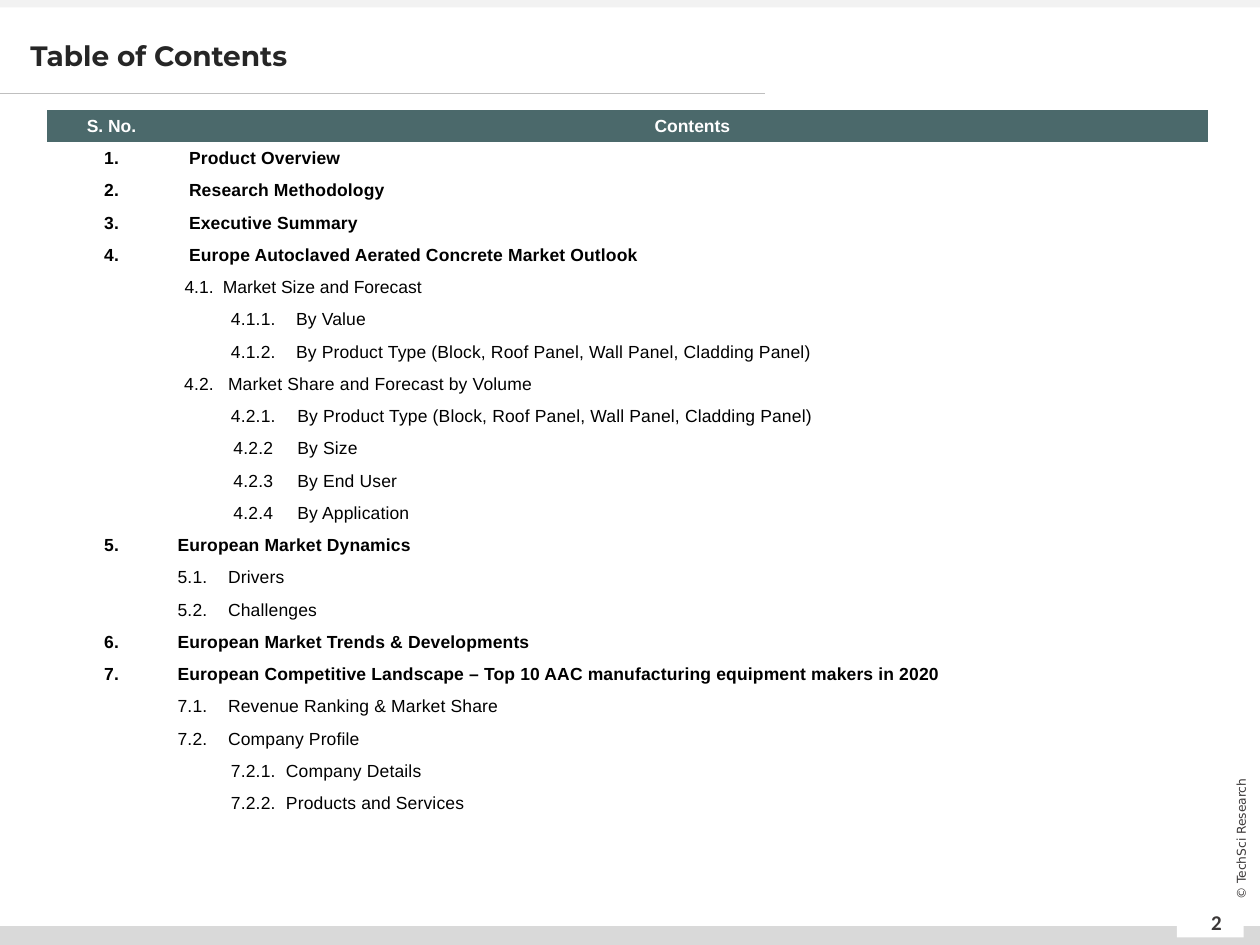
"""Builds a table of contents slide with a numbered outline in a table."""
from lxml import etree
from pptx import Presentation
from pptx.dml.color import RGBColor
from pptx.enum.shapes import MSO_CONNECTOR, MSO_SHAPE
from pptx.enum.text import MSO_ANCHOR, PP_ALIGN
from pptx.oxml.ns import qn
from pptx.util import Inches, Pt

LEFT, MID = PP_ALIGN.LEFT, PP_ALIGN.CENTER
CENTRE = MSO_ANCHOR.MIDDLE
LINE, RECT = MSO_CONNECTOR.STRAIGHT, MSO_SHAPE.RECTANGLE
PLAIN = "{2D5ABB26-0587-4C30-8999-92F81FD0307C}"

WIDE, HIGH = 10, 7.5
TITLE = "Table of Contents"
HEADS = ("S. No.", "Contents")
# level, number, text, indent
ITEMS = [
    (0, "1.", "Product Overview", 0.1),
    (0, "2.", "Research Methodology", 0.1),
    (0, "3.", "Executive Summary", 0.1),
    (0, "4.", "Europe Autoclaved Aerated Concrete Market Outlook", 0.1),
    (1, "4.1.", "Market Size and Forecast", 0.01),
    (2, "4.1.1.", "By Value", 0.09),
    (2, "4.1.2.", "By Product Type (Block, Roof Panel, Wall Panel, Cladding Panel)", 0.09),
    (1, "4.2.", "Market Share and Forecast by Volume", 0.05),
    (2, "4.2.1.", "By Product Type (Block, Roof Panel, Wall Panel, Cladding Panel)", 0.1),
    (2, "4.2.2", "By Size", 0.1),
    (2, "4.2.3", "By End User", 0.1),
    (2, "4.2.4", "By Application", 0.1),
    (0, "5.", "European Market Dynamics", 0.01),
    (1, "5.1.", "Drivers", 0.05),
    (1, "5.2.", "Challenges", 0.05),
    (0, "6.", "European Market Trends & Developments", 0.01),
    (0, "7.", "European Competitive Landscape – Top 10 AAC manufacturing equipment makers in 2020", 0.01),
    (1, "7.1.", "Revenue Ranking & Market Share", 0.05),
    (1, "7.2.", "Company Profile", 0.05),
    (2, "7.2.1.", "Company Details", 0.01),
    (2, "7.2.2.", "Products and Services", 0.01),
]
COLS = (1.03, 0.36, 0.5, 7.33)
TOP, DEEP = 0.87, 5.63
BARS = [
    (0, 7.35, WIDE, 0.15, "D9D9D9"),
    (0, 0, WIDE, 0.06, "F2F2F2"),
    (9.34, 7.22, 0.53, 0.22, "FFFFFF"),
]
NOTES = [
    ("2", (9.41, 7.12, 0.49, 0.4), 0, {"size": Pt(12), "name": "Calibri", "bold": True}),
    ("© TechSci Research", (9.25, 6.58, 1.2, 0.16), 270,
     {"size": Pt(7), "name": "DejaVu Sans", "bold": False}),
]
BODY = {"size": Pt(10), "name": "Arial"}


def paint(hue):
    """Turn a hex string into a colour."""
    return RGBColor.from_string(hue)


def write(frame, text, hue, style, align=LEFT):
    """Put one styled run into a text frame."""
    para = frame.paragraphs[0]
    para.alignment = align
    run = para.add_run()
    run.text = text
    for key, value in style.items():
        setattr(run.font, key, value)
    run.font.color.rgb = paint(hue)
    return run


def fill_cell(cell, text, hue, bold, align, indent=0.01, gap=0):
    """Write text with letter spacing into a table cell."""
    cell.margin_left = Inches(indent)
    run = write(cell.text_frame, text, hue, {**BODY, "bold": bold}, align)
    if gap:
        run.font._element.set("spc", str(gap))


def add_frame(slide):
    """Draw the rule, bars, page number and side note."""
    rule = slide.shapes.add_connector(LINE, 0, Inches(0.74), Inches(6.07), Inches(0.74))
    rule.line.color.rgb = paint("BFBFBF")
    rule.line.width = Pt(0.5)
    etree.SubElement(rule._element.spPr, qn("a:effectLst"))
    for *box, hue in BARS:
        bar = slide.shapes.add_shape(RECT, *map(Inches, box))
        bar.shadow.inherit = False
        bar.fill.solid()
        bar.fill.fore_color.rgb = paint(hue)
        bar.line.fill.background()
    for text, box, turn, style in NOTES:
        note = slide.shapes.add_textbox(*map(Inches, box))
        note.rotation = turn
        note.text_frame.word_wrap = True
        note.text_frame.vertical_anchor = CENTRE
        write(note.text_frame, text, "3B3838", style, MID)


def add_title(slide):
    """Place and style the title."""
    title = slide.shapes.title
    box = {"left": 0.14, "top": 0.21, "width": 8.6, "height": 0.5}
    for key, value in box.items():
        setattr(title, key, Inches(value))
    title.text_frame.vertical_anchor = CENTRE
    title.text_frame.paragraphs[0].line_spacing = 0.9
    write(title.text_frame, TITLE, "262626",
          {"size": Pt(16), "name": "Montserrat", "bold": True})


def add_list(slide):
    """Lay the outline out, one level per column."""
    count, last = len(ITEMS) + 1, len(COLS) - 1
    frame = slide.shapes.add_table(count, len(COLS), Inches(0.37), Inches(TOP),
                                   Inches(sum(COLS)), Inches(DEEP))
    table = frame.table
    table.first_row = table.horz_banding = False
    table._tbl.tblPr.find(qn("a:tableStyleId")).text = PLAIN
    for col, width in zip(table.columns, COLS):
        col.width = Inches(width)
    for r, row in enumerate(table.rows):
        row.height = Inches(DEEP / count)
        for cell in row.cells:
            for side in ("left", "right", "top"):
                setattr(cell, "margin_" + side, Inches(0.01))
            cell.margin_bottom = 0
            cell.vertical_anchor = CENTRE
            if r:
                cell.fill.background()
            else:
                cell.fill.solid()
                cell.fill.fore_color.rgb = paint("4B696B")
            end = etree.SubElement(cell.text_frame.paragraphs[0]._p, qn("a:endParaRPr"))
            end.set("sz", "1000")
    table.cell(0, 1).merge(table.cell(0, last))
    for c, head in enumerate(HEADS):
        fill_cell(table.cell(0, c), head, "FFFFFF", True, MID)
    for r, (level, num, text, indent) in enumerate(ITEMS, 1):
        bold = level == 0
        gap = 0 if num == "4.1." else 10
        align = LEFT if level == 1 and num[0] != "4" else MID
        fill_cell(table.cell(r, level), num, "000000", bold, align, gap=gap)
        cell = table.cell(r, level + 1)
        if level + 1 < last:
            cell.merge(table.cell(r, last))
        fill_cell(cell, text, "000000", bold, LEFT, indent, gap)


def main():
    """Build and save the slide."""
    deck = Presentation()
    deck.slide_width, deck.slide_height = Inches(WIDE), Inches(HIGH)
    slide = deck.slides.add_slide(deck.slide_layouts[5])
    add_frame(slide)
    add_title(slide)
    add_list(slide)
    deck.save("out.pptx")


if __name__ == "__main__":
    main()
